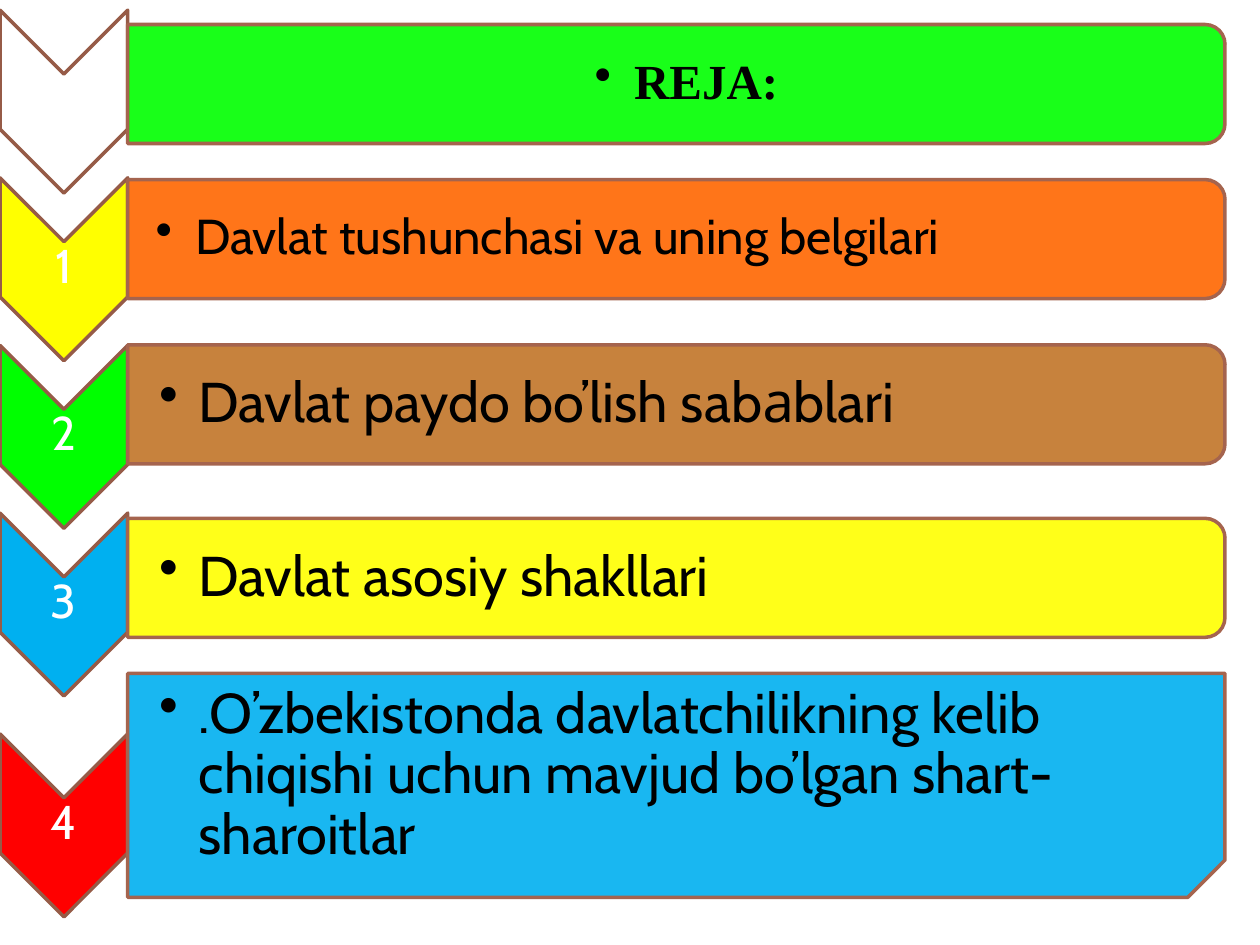
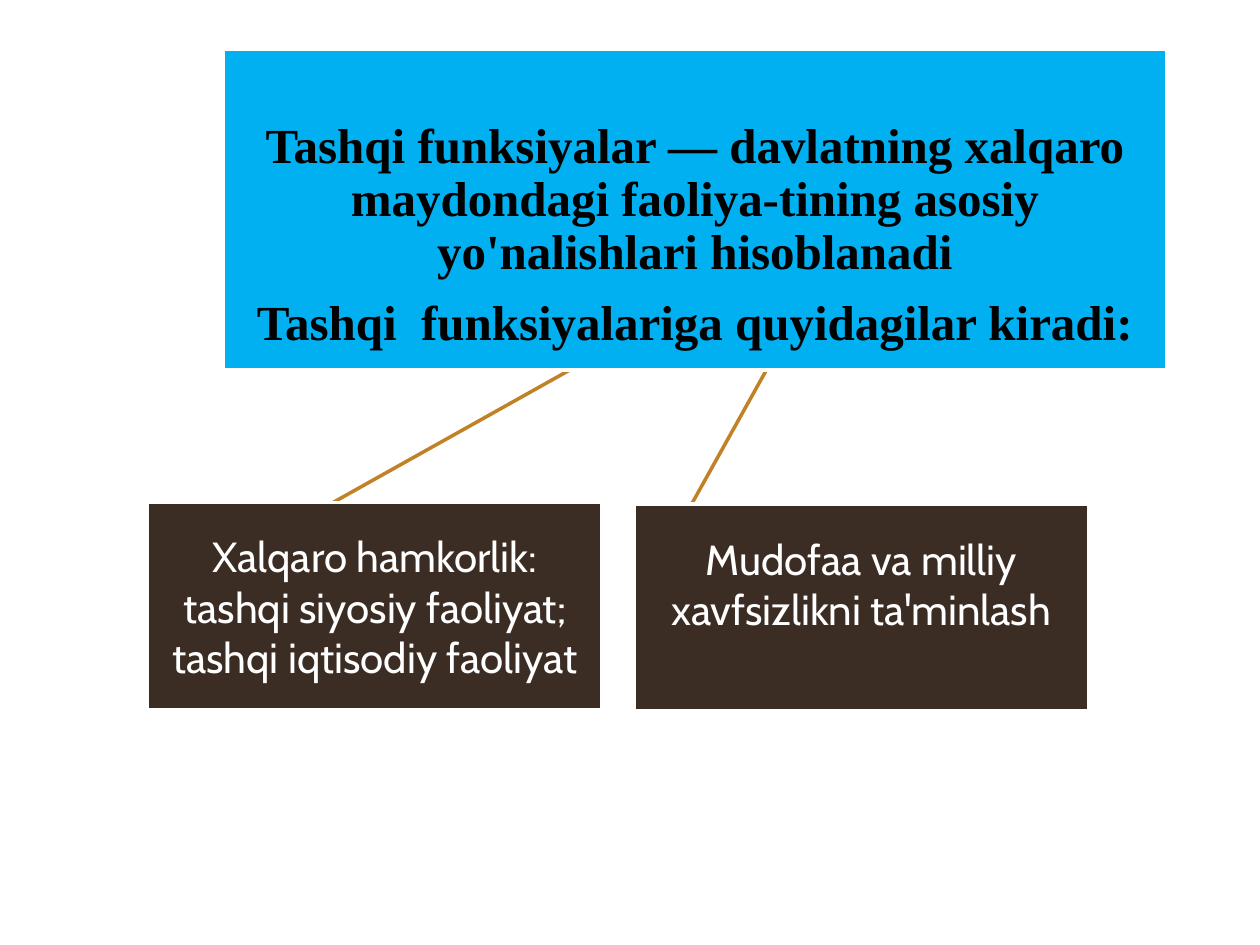
from lxml.etree import SubElement
from pptx import Presentation
from pptx.dml.color import RGBColor
from pptx.enum.shapes import MSO_CONNECTOR as Connector, MSO_SHAPE as Preset
from pptx.enum.text import MSO_ANCHOR as Anchor, PP_ALIGN as Align
from pptx.oxml.ns import qn
from pptx.util import Pt

WHITE = RGBColor(0xFF, 0xFF, 0xFF)
BLACK = RGBColor(0x00, 0x00, 0x00)
GREEN = RGBColor(0x00, 0xFF, 0x00)
YELLOW = RGBColor(0xFF, 0xFF, 0x00)
ORANGE = RGBColor(0xFF, 0x66, 0x00)
BROWN = RGBColor(0xC1, 0x75, 0x29)
BLUE = RGBColor(0x00, 0xB0, 0xF0)
RED = RGBColor(0xFF, 0x00, 0x00)
DARK = RGBColor(0x3B, 0x2C, 0x24)
CHEVRON_LINE = RGBColor(0x96, 0x5B, 0x47)
BAR_LINE = RGBColor(0xA5, 0x64, 0x4E)
BRANCH_LINE = RGBColor(0xC0, 0x82, 0x25)

BODY_FONT = "Cabin"
HEADING_FONT = "Times New Roman"


def add_block(slide, preset, left, top, width, height, fill, line, turned=False, alpha=None):
    """Add a filled shape; a turned one fills the given area after a quarter turn."""
    if turned:
        left, top = left + (width - height) / 2, top + (height - width) / 2
        width, height = height, width
    shape = slide.shapes.add_shape(preset, Pt(left), Pt(top), Pt(width), Pt(height))
    shape.rotation = 90 if turned else 0
    shape.shadow.inherit = False
    shape.fill.solid()
    shape.fill.fore_color.rgb = fill
    shape.line.color.rgb = line
    shape.line.width = Pt(2)
    if alpha:
        color = shape.fill._xPr.find(qn("a:solidFill"))[0]
        SubElement(color, qn("a:alpha"), val=str(alpha * 1000))
    return shape


def write_text(shape, text, size, color, font=BODY_FONT, bold=False, align=Align.CENTER,
               anchor=Anchor.MIDDLE, insets=(1.5, 1.5, 1.5, 1.5), spacing=None,
               gap=0, bullet=False):
    """Write one paragraph per line of text; insets run left, top, right, bottom."""
    frame = shape.text_frame
    frame.word_wrap = True
    frame.vertical_anchor = anchor
    (frame.margin_left, frame.margin_top,
     frame.margin_right, frame.margin_bottom) = map(Pt, insets)
    for index, line in enumerate(text.split("\n")):
        paragraph = frame.add_paragraph() if index else frame.paragraphs[0]
        paragraph.alignment = align
        paragraph.line_spacing = spacing
        paragraph.space_before = Pt(gap if index else 0)
        if bullet:
            properties = paragraph._p.get_or_add_pPr()
            properties.set("marL", str(Pt(22.5)))
            properties.set("indent", str(-Pt(22.5)))
            SubElement(properties, qn("a:buChar"), char="•")
        run = paragraph.add_run()
        run.text = line
        run.font.name = font
        run.font.size = Pt(size)
        run.font.bold = bold
        run.font.color.rgb = color


presentation = Presentation()
presentation.slide_width = Pt(720)
presentation.slide_height = Pt(540)
blank = presentation.slide_layouts[6]

# Slide 1: plan as a column of chevrons with bars
slide = presentation.slides.add_slide(blank)
CHEVRON_WIDTH, CHEVRON_HEIGHT = 73, 104.5
BAR_WIDTH = 627
heading = dict(font=HEADING_FONT, bold=True, align=Align.CENTER)

# number, chevron top and fill, bar top, height and fill, text, size, format
plan = [
    ("", 5.8, WHITE, 14, 68, GREEN, "REJA:", 28, heading),
    ("1", 101.6, YELLOW, 102.6, 68, ORANGE,
     "Davlat tushunchasi va uning belgilari", 28, {}),
    ("2", 197.4, GREEN, 197, 68, BROWN, "Davlat paydo bo’lish sabаblari", 32, {}),
    ("3", 293.2, BLUE, 296.2, 68, YELLOW, "Davlat asosiy shakllari", 32, {}),
    ("4", 419.4, RED, 384.8, 128, BLUE,
     ".O’zbekistonda davlatchilikning kelib chiqishi uchun mavjud bo’lgan shart-sharoitlar",
     32, {}),
]
for number, chevron_top, chevron_fill, bar_top, bar_height, bar_fill, text, size, style in plan:
    add_block(slide, Preset.CHEVRON, 0, chevron_top, CHEVRON_WIDTH, CHEVRON_HEIGHT,
              chevron_fill, CHEVRON_LINE, turned=True)
    if number:
        number_box = slide.shapes.add_textbox(
            0, Pt(chevron_top + 36), Pt(CHEVRON_WIDTH), Pt(31))
        write_text(number_box, number, 27, WHITE, spacing=0.9)

    # The tall bar has a snipped corner, which its text keeps clear of
    tall = bar_height > 68
    preset = Preset.SNIP_1_RECTANGLE if tall else Preset.ROUND_2_SAME_RECTANGLE
    corner = 11 if tall else 0
    add_block(slide, preset, CHEVRON_WIDTH, bar_top, BAR_WIDTH, bar_height,
              bar_fill, BAR_LINE, turned=True, alpha=90)
    bar_text = slide.shapes.add_textbox(Pt(CHEVRON_WIDTH), Pt(bar_top),
                                        Pt(BAR_WIDTH - 3 - corner), Pt(bar_height - corner))
    write_text(bar_text, text, size, BLACK, spacing=0.9, bullet=True,
               insets=(18 if size == 32 else 16, 1.5, 1.5, 1.5),
               **{"align": Align.LEFT, **style})

# Slide 2: external functions as a tree
slide = presentation.slides.add_slide(blank)

# Branches lie behind the boxes
branches = []
for _ in range(2):
    branch = slide.shapes.add_connector(Connector.STRAIGHT, Pt(489), Pt(120), Pt(300), Pt(347))
    branch.line.color.rgb = BRANCH_LINE
    branch.line.width = Pt(2)
    SubElement(branch._element.spPr, qn("a:effectLst"))
    branches.append(branch)

# Root box
root = add_block(slide, Preset.RECTANGLE, 127.5, 28, 539, 183.5, BLUE, WHITE)
write_text(root, "Tashqi funksiyalar — davlatning xalqaro maydondagi faoliya-tining asosiy "
           "yo'nalishlari hisoblanadi\nTashqi  funksiyalariga quyidagilar kiradi:",
           28, BLACK, font=HEADING_FONT, bold=True, spacing=0.9, gap=10,
           anchor=Anchor.BOTTOM, insets=(1, 1, 1, 11))

# Child boxes: left, top, text, bottom inset
children = [
    (84.2, 287.3, "Xalqaro hamkorlik:\ntashqi siyosiy faoliyat; tashqi iqtisodiy faoliyat", 1.5),
    (362.2, 288, "Mudofaa va milliy xavfsizlikni ta'minlash", 29),
]
for branch, (left, top, text, bottom_inset) in zip(branches, children):
    child = add_block(slide, Preset.RECTANGLE, left, top, 260, 118.5, DARK, WHITE)
    write_text(child, text, 24, WHITE, insets=(1.5, 1.5, 1.5, bottom_inset))
    branch.end_connect(child, 1)

presentation.save("out.pptx")
